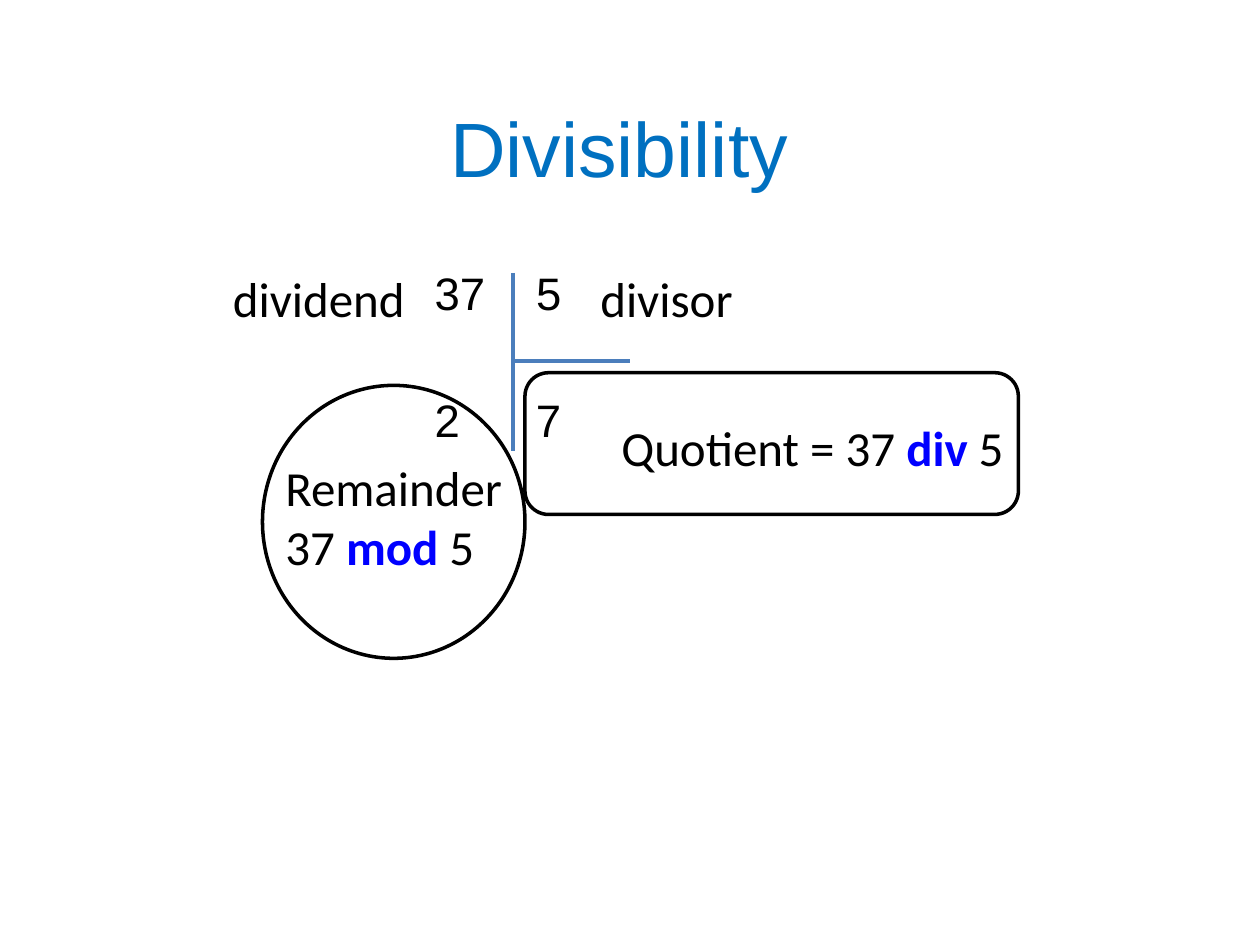
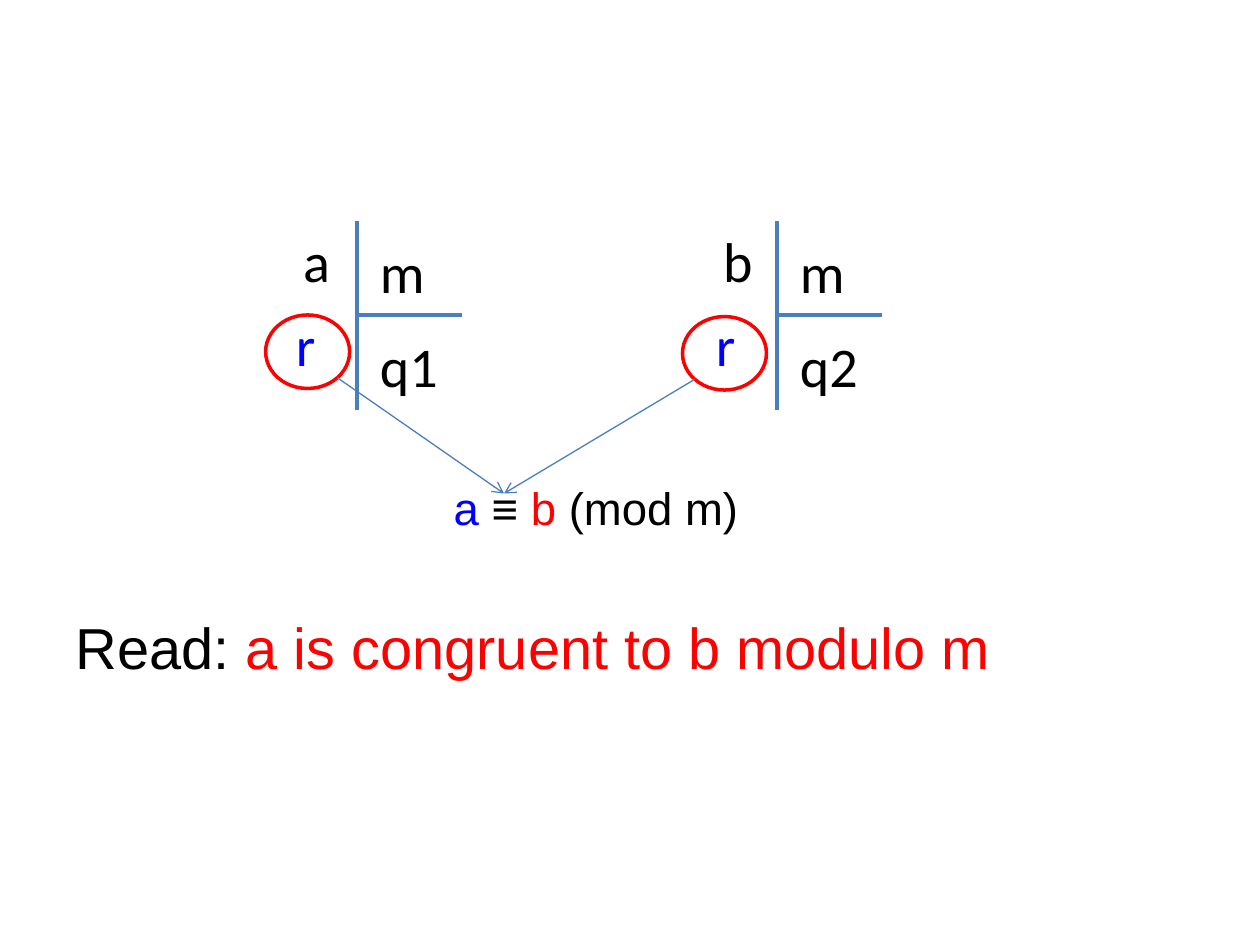
"""Two slides on divisibility and congruence, set on a grid of twelfths of an inch."""
import math
from lxml import etree
from pptx import Presentation
from pptx import util as u
from pptx.dml.color import RGBColor
from pptx.enum import shapes, text
from pptx.oxml.ns import qn

BLACK, BLUE, RED = "000000", "0000FF", "FF0000"
TITLE_BLUE, RULE_BLUE = "0070C0", "4B7EBC"
BODY_SIZE, READ_SIZE, LABEL_SIZE, SYMBOL_SIZE = 26, 33, 28, 32


def grid(*cells):
    """Turn grid columns or rows into lengths."""
    return [u.Inches(cell / 12) for cell in cells]


def paint(target, colour):
    """Give a font, fill or line its colour from a hex string."""
    if hasattr(target, "solid"):
        target.solid()
        target = target.fore_color
    else:
        target = target.color
    target.rgb = RGBColor.from_string(colour)


def write(para, spans, size, font):
    """Fill a paragraph with (text, colour, bold) spans, and a tracking in points if given."""
    for words, colour, bold, *tracking in spans:
        span = para.add_run()
        span.text = words
        span.font.size = u.Pt(size)
        span.font.name = font
        span.font.bold = bold
        paint(span.font, colour)
        for points in tracking:
            span._r.get_or_add_rPr().set("spc", str(round(points * 100)))


def place(item, box):
    """Move a placeholder to a grid box."""
    item.left, item.top, item.width, item.height = grid(*box)


def title(page, box, words):
    """Place the slide title."""
    item = page.shapes.title
    place(item, box)
    item.text_frame.vertical_anchor = text.MSO_ANCHOR.MIDDLE
    para = item.text_frame.paragraphs[0]
    para.alignment = text.PP_ALIGN.CENTER
    write(para, [(words, TITLE_BLUE, False)], 44, "Arial")


def body(page, box, inset, rows):
    """Place unbulleted paragraphs given as (spans, size, space before, indent)."""
    item = page.placeholders[1]
    place(item, box)
    frame = item.text_frame
    frame.margin_top = grid(inset)[0]
    for index, (spans, size, before, indent) in enumerate(rows):
        para = frame.add_paragraph() if index else frame.paragraphs[0]
        write(para, spans, size, "Arial")
        props = para._p.get_or_add_pPr()
        props.set("marL", str(grid(indent)[0]))
        props.set("indent", "0")
        etree.SubElement(props, qn("a:buNone"))
        para.space_before = u.Pt(before)


def label(page, box, lines, size, wrap=True):
    """Place a Calibri text box, one list of spans per line."""
    frame = page.shapes.add_textbox(*grid(*box)).text_frame
    frame.word_wrap = wrap
    frame.auto_size = text.MSO_AUTO_SIZE.SHAPE_TO_FIT_TEXT
    for index, spans in enumerate(lines):
        para = frame.add_paragraph() if index else frame.paragraphs[0]
        write(para, spans, size, "Calibri")


def rule(page, start, end, weight=2.25, arrow=False):
    """Draw a straight blue line, with an arrowhead if asked."""
    line = page.shapes.add_connector(shapes.MSO_CONNECTOR.STRAIGHT, *grid(*start, *end))
    paint(line.line.fill, RULE_BLUE)
    line.line.width = u.Pt(weight)
    if arrow:
        etree.SubElement(line.line._get_or_add_ln(), qn("a:tailEnd"), type="arrow")
    etree.SubElement(line._element.spPr, qn("a:effectLst"))


def bracket(page, box, split):
    """Draw the long-division corner along the left of a box."""
    left, top, width, height = box
    rule(page, (left, top), (left, top + height))
    rule(page, (left, top + split), (left + width, top + split))


def outline(page, kind, box, colour):
    """Draw an unfilled shape."""
    shape = page.shapes.add_shape(kind, *grid(*box))
    shape.shadow.inherit = False
    shape.fill.background()
    paint(shape.line.fill, colour)
    shape.line.width = u.Pt(2)


def symbolic_division(page, box, dividend, quotient, offset, target, side):
    """Divide a letter by m, ring its remainder and point from there to the target."""
    left, top, _, height = box
    bracket(page, box, height / 2)
    symbols = [(dividend, -6.3, 0, 5, BLACK), ("m", 1, 1, 6.7, BLACK),
               (quotient, 1, 10, 8, BLACK), ("r", -7, 8, 4.3, BLUE)]
    for words, across, down, width, colour in symbols:
        label(page, (left + across, top + down, width, 7.7),
              [[(words, colour, False)]], SYMBOL_SIZE, wrap=False)
    ring = (left + offset[0], top + offset[1], 8, 7)
    outline(page, shapes.MSO_SHAPE.OVAL, ring, RED)
    reach = math.sqrt(0.5) / 2
    start = (ring[0] + ring[2] * (0.5 + side * reach), ring[1] + ring[3] * (0.5 + reach))
    rule(page, start, target, 0.75, arrow=True)


def divisibility(page):
    """Build the worked example of dividing 37 by 5."""
    title(page, (6, 6.5, 108, 15), "Divisibility ")
    pairs = [(" 37", "5", 21.7, 5), (" 2", "7", 36.1, 41.5)]
    body(page, (39, 24.6, 63, 59.4), 0.6, [
        ([(left, BLACK, False), (" ", BLACK, False, gap), (right, BLACK, False)],
         BODY_SIZE, before, 0) for left, right, gap, before in pairs])
    bracket(page, (48.9, 26, 11.1, 17), 8.35)
    terms = [((21, 25, 25, 6.9), [[("dividend", BLACK, False)]]),
             ((56, 25, 18, 6.9), [[("divisor", BLACK, False)]]),
             ((58, 39.15, 44, 6.9), [[("Quotient = 37 ", BLACK, False),
                                      ("div", BLUE, True), (" 5", BLACK, False)]]),
             ((26, 43, 27, 12.5), [[("Remainder", BLACK, False)],
                                   [("37 ", BLACK, False), ("mod", BLUE, True),
                                    (" 5", BLACK, False)]])]
    for box, lines in terms:
        label(page, box, lines, LABEL_SIZE)
    outline(page, shapes.MSO_SHAPE.OVAL, (25, 36.7, 25, 26), BLACK)
    outline(page, shapes.MSO_SHAPE.ROUNDED_RECTANGLE, (50, 35.5, 47, 13.5), BLACK)


def congruence(page):
    """Build the pair of divisions that share a remainder."""
    heading = page.shapes.title._element
    heading.getparent().remove(heading)
    body(page, (6, 21, 108, 59.4), 24.7, [
        ([("a ", BLUE, False), ("≡ ", BLACK, False), ("b", RED, False),
          (" (mod m)", BLACK, False)], BODY_SIZE, 5, 36),
        ([("Read: ", BLACK, False), ("a is congruent to b modulo m", RED, False)],
         READ_SIZE, 44, 0)])
    divisions = [(34, "a", "q1", (-8.7, 9), 1), (74, "b", "q2", (-9, 9.15), -1)]
    for left, dividend, quotient, offset, side in divisions:
        symbolic_division(page, (left, 21, 10, 18), dividend, quotient, offset,
                          (48, 47), side)


deck = Presentation()
deck.slide_width, deck.slide_height = grid(120, 90)
for build in (divisibility, congruence):
    build(deck.slides.add_slide(deck.slide_layouts[1]))
deck.save("out.pptx")
